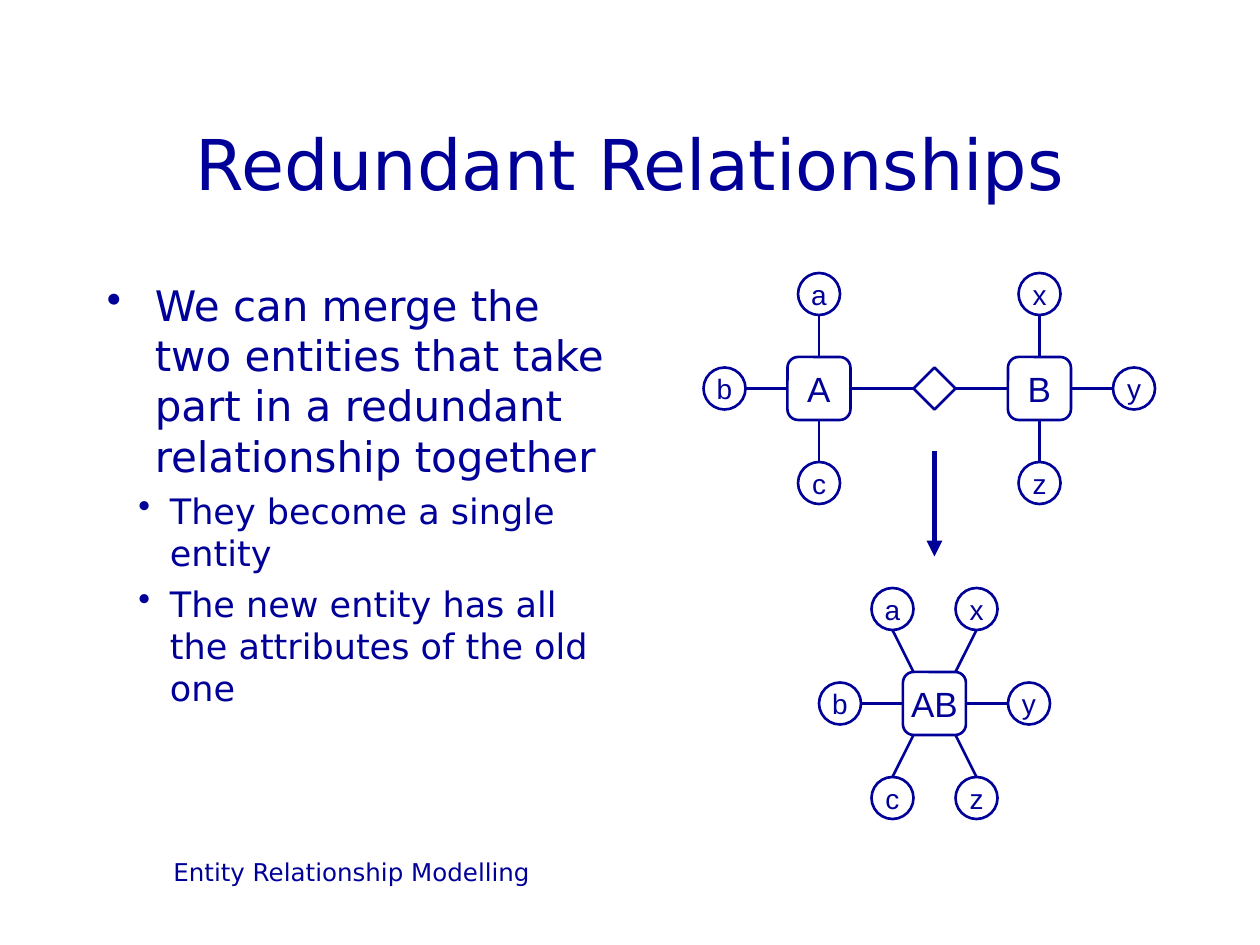
from pptx import Presentation
from pptx.dml.color import RGBColor
from pptx.enum.shapes import MSO_CONNECTOR as Connector, MSO_SHAPE as Shape
from pptx.enum.text import MSO_ANCHOR as Anchor, PP_ALIGN as Align
from pptx.oxml.ns import qn
from pptx.util import Inches, Pt
from lxml.etree import SubElement

NAVY = RGBColor(0x00, 0x00, 0x99)
SANS, LABEL = "DejaVu Sans", "Arial"
UNIT = Inches(10) // 120
ENTITY, ATTRIBUTE = 6, 4
TOP, LEFT, BOTTOM, RIGHT = range(4)

TITLE = "Redundant Relationships"
FOOTER = "Entity Relationship Modelling"
POINTS = [
    (0, "We can merge the two entities that take part in a redundant relationship together"),
    (1, "They become a single entity"),
    (1, "The new entity has all the attributes of the old one"),
]
LEVELS = [
    {"size": 24, "margin": 0.38, "hanging": 0.38, "before": 6},
    {"size": 20, "margin": 0.5, "hanging": 0.25, "before": 5},
]
SEPARATE = {
    "A": ((78, 37), [("a", 0, -9), ("b", -9, 0), ("c", 0, 9)]),
    "B": ((99, 37), [("x", 0, -9), ("y", 9, 0), ("z", 0, 9)]),
}
MERGED = {
    "AB": ((89, 67), [("a", -4, -9), ("x", 4, -9), ("b", -9, 0),
                      ("y", 9, 0), ("c", -4, 9), ("z", 4, 9)]),
}
RELATIONSHIP = (89, 37)
ARROW = ((89, 43), (89, 53))


def grid(*units):
    return [round(unit * UNIT) for unit in units]


def write(para, text, size, font, align):
    para.text = text
    para.alignment = align
    para.font.size = Pt(size)
    para.font.name = font
    para.font.color.rgb = NAVY


def add_node(shapes, kind, center, size, text="", text_size=16):
    x, y = center
    node = shapes.add_shape(kind, *grid(x - size / 2, y - size / 2, size, size))
    node.shadow.inherit = False
    node.fill.background()
    node.line.color.rgb = NAVY
    node.line.width = Pt(1.5)
    if text:
        frame = node.text_frame
        frame.word_wrap = False
        frame.vertical_anchor = Anchor.MIDDLE
        write(frame.paragraphs[0], text, text_size, LABEL, Align.CENTER)
    return node


def add_line(shapes, start, end, width=1.5):
    line = shapes.add_connector(Connector.STRAIGHT, *grid(*start, *end))
    line.line.color.rgb = NAVY
    line.line.width = Pt(width)
    SubElement(line._element.spPr, qn("a:effectLst"))
    return line


def side(dx, dy):
    if dx:
        return RIGHT if dx > 0 else LEFT
    return BOTTOM if dy > 0 else TOP


def add_entity(shapes, name, center, attributes):
    x, y = center
    entity = add_node(shapes, Shape.ROUNDED_RECTANGLE, center, ENTITY, name, 20)
    entity.adjustments[0] = 0.17
    for label, dx, dy in attributes:
        add_node(shapes, Shape.OVAL, (x + dx, y + dy), ATTRIBUTE, label)
        sign_x, sign_y = (dx > 0) - (dx < 0), (dy > 0) - (dy < 0)
        if dy:
            start = (x + dx, y + dy - sign_y * ATTRIBUTE / 2)
            end = (x + dx / 2, y + sign_y * ENTITY / 2)
        else:
            start = (x + dx - sign_x * ATTRIBUTE / 2, y)
            end = (x + sign_x * ENTITY / 2, y)
        line = add_line(shapes, start, end)
        if not (dx and dy):
            line.end_connect(entity, side(dx, dy))
    return entity


def add_text_box(page, units):
    frame = page.shapes.add_textbox(*grid(*units)).text_frame
    frame.word_wrap = True
    return frame


deck = Presentation()
deck.slide_width, deck.slide_height = Inches(10), Inches(7.5)
page = deck.slides.add_slide(deck.slide_layouts[5])

title = page.shapes.title
title.left, title.top, title.width, title.height = grid(9, 8, 102, 15)
title.text_frame.vertical_anchor = Anchor.MIDDLE
write(title.text_frame.paragraphs[0], TITLE, 40, SANS, Align.CENTER)

footer = add_text_box(page, (9, 81, 49, 6))
write(footer.paragraphs[0], FOOTER, 14, SANS, Align.CENTER)

body = add_text_box(page, (9, 26, 50, 54))
for index, (level, text) in enumerate(POINTS):
    style = LEVELS[level]
    para = body.add_paragraph() if index else body.paragraphs[0]
    para.level = level
    if index:
        para.space_before = Pt(style["before"])
    properties = para._p.get_or_add_pPr()
    properties.set("marL", str(Inches(style["margin"])))
    properties.set("indent", str(-Inches(style["hanging"])))
    SubElement(properties, qn("a:buChar"), char="•")
    write(para, text, style["size"], SANS, Align.LEFT)

first, second = [add_entity(page.shapes, name, *parts) for name, parts in SEPARATE.items()]
relationship = add_node(page.shapes, Shape.DIAMOND, RELATIONSHIP, ATTRIBUTE)
for begin, end in [(first, relationship), (relationship, second)]:
    link = add_line(page.shapes, RELATIONSHIP, RELATIONSHIP)
    link.begin_connect(begin, RIGHT)
    link.end_connect(end, LEFT)

group = page.shapes.add_group_shape()
for name, parts in MERGED.items():
    add_entity(group.shapes, name, *parts)

arrow = add_line(page.shapes, *ARROW, width=3)
SubElement(arrow.line._get_or_add_ln(), qn("a:tailEnd"), type="triangle")

deck.save("out.pptx")
